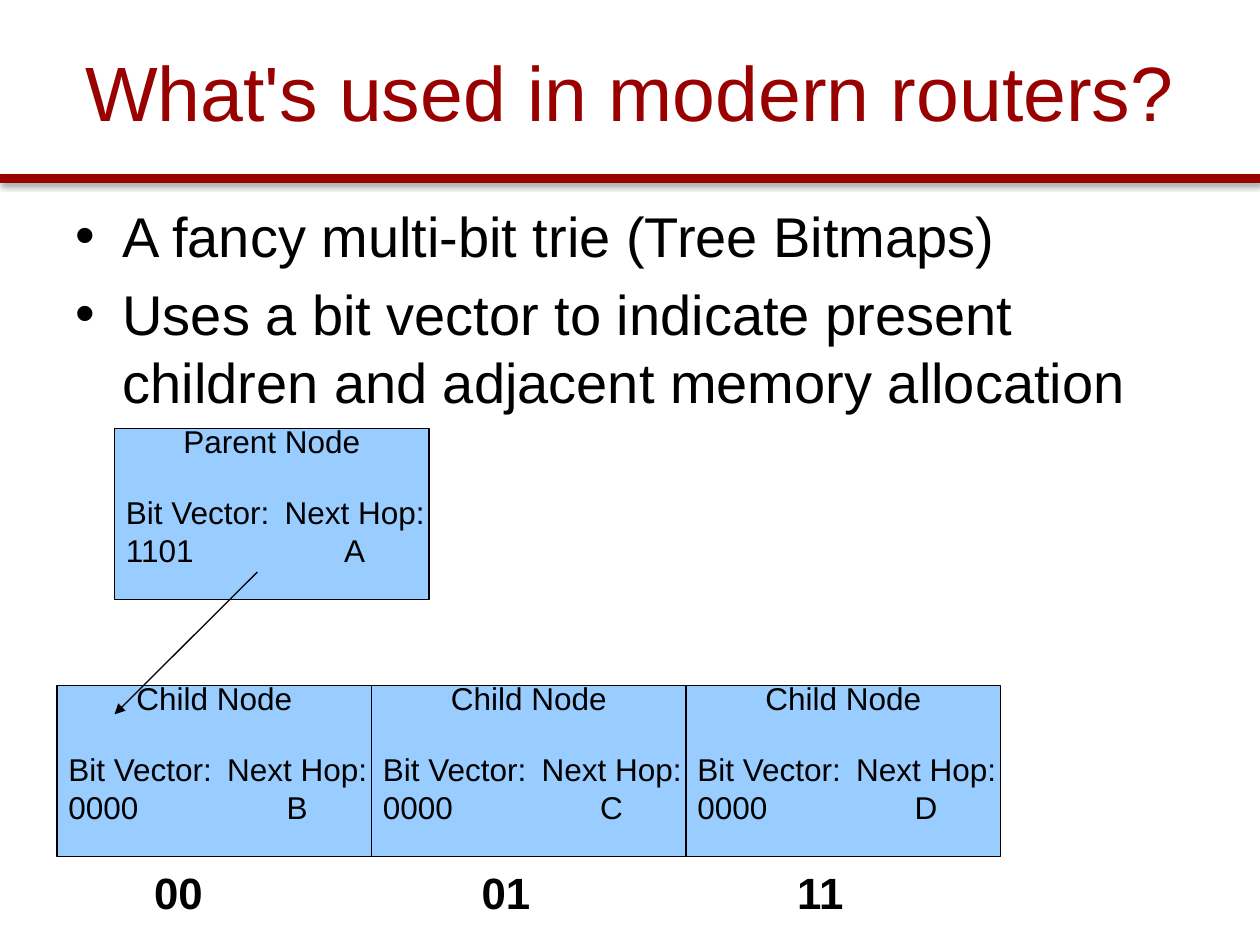
from lxml.etree import SubElement
from pptx import Presentation
from pptx.dml.color import RGBColor
from pptx.enum.shapes import MSO_CONNECTOR, MSO_SHAPE
from pptx.enum.text import MSO_ANCHOR, PP_ALIGN
from pptx.oxml import parse_xml
from pptx.oxml.ns import nsdecls, qn
from pptx.util import Cm, Pt

COLORS = {"accent": "990000", "node": "99CCFF", "ink": "000000"}
FONT = "Arial"
NODE_WIDTH, NODE_HEIGHT = 6.34, 3.45


def color(name):
    """Return the named colour."""
    return RGBColor.from_string(COLORS[name])


def write(shape, lines, size, ink="ink", align=PP_ALIGN.LEFT, bold=False, wrap=True):
    """Fill a shape with one formatted paragraph per line."""
    frame = shape.text_frame
    frame.text = "\n".join(lines)
    frame.word_wrap = wrap
    for paragraph in frame.paragraphs:
        paragraph.alignment = align
        for run in paragraph.runs:
            run.font.name, run.font.size, run.font.bold = FONT, Pt(size), bold
            run.font.color.rgb = color(ink)
    return frame


def add_text(slide, left, top, width, height, lines, size, insets=(0.23, 0.23), **style):
    """Add a text box with the given left and right insets."""
    box = slide.shapes.add_textbox(Cm(left), Cm(top), Cm(width), Cm(height))
    frame = write(box, lines, size, **style)
    frame.margin_left, frame.margin_right = (Cm(inset) for inset in insets)
    frame.margin_top, frame.margin_bottom = Cm(0.15), Cm(0.1)
    return frame


def add_line(slide, start, end, ink, width):
    """Add a straight line without a shadow."""
    points = [Cm(value) for value in (*start, *end)]
    line = slide.shapes.add_connector(MSO_CONNECTOR.STRAIGHT, *points)
    line.line.color.rgb = color(ink)
    line.line.width = Pt(width)
    SubElement(line._element.spPr, qn("a:effectLst"))
    return line


def add_header(slide, width):
    """Place the title and the shadowed rule below it."""
    rule = add_line(slide, (0, 3.6), (width, 3.6), "accent", 5)
    rule._element.spPr.find(qn("a:effectLst")).append(parse_xml(
        f'<a:outerShdw {nsdecls("a")} blurRad="39370" dist="20320" dir="5400000" rotWithShape="0">'
        f'<a:srgbClr val="{COLORS["ink"]}"><a:alpha val="38000"/></a:srgbClr></a:outerShdw>'))
    title = slide.shapes.title
    title.left, title.top, title.width, title.height = Cm(1.27), Cm(0.23), Cm(22.86), Cm(3.18)
    frame = write(title, ["What's used in modern routers?"], 44, "accent", PP_ALIGN.CENTER)
    frame.vertical_anchor = MSO_ANCHOR.MIDDLE


def add_bullets(slide, left, top, width, height, lines):
    """Place the bulleted statements."""
    frame = add_text(slide, left, top, width, height, lines, 32)
    for paragraph in frame.paragraphs:
        paragraph.space_before = Pt(6.4)
        properties = paragraph._p.get_or_add_pPr()
        properties.set("marL", str(Cm(0.95)))
        properties.set("indent", str(Cm(-0.95)))
        SubElement(properties, qn("a:buFont"), typeface=FONT)
        SubElement(properties, qn("a:buChar"), char="•")


def add_node(slide, left, top, name, bits, hop):
    """Draw a trie node with its bit vector and next hop."""
    node = slide.shapes.add_shape(
        MSO_SHAPE.RECTANGLE, Cm(left), Cm(top), Cm(NODE_WIDTH), Cm(NODE_HEIGHT))
    node.shadow.inherit = False
    node.fill.solid()
    node.fill.fore_color.rgb = color("node")
    node.line.color.rgb = color("ink")
    node.line.width = Pt(0.75)
    frame = write(node, [name], 18, align=PP_ALIGN.CENTER, wrap=False)
    frame.vertical_anchor = MSO_ANCHOR.TOP
    frame.margin_top = Cm(-0.14)
    add_text(slide, left, top + 1.15, 3.2, 1.52, ["Bit Vector:", bits], 18,
             insets=(0.23, 0), wrap=False)
    add_text(slide, left + NODE_WIDTH - 3, top + 1.15, 3, 1.52, ["Next Hop:", hop], 18,
             insets=(0, 0), align=PP_ALIGN.CENTER, wrap=False)


def add_trie(slide, left, top):
    """Draw the parent, its adjacent children, the pointer and the child indexes."""
    add_node(slide, left + 1.16, top, "Parent Node", "1101", "A")
    for index, hop in enumerate("BCD"):
        add_node(slide, left + index * NODE_WIDTH, top + 5.18, "Child Node", "0000", hop)
    pointer = add_line(slide, (left + 4.04, top + 2.89), (left + 1.16, top + 5.76), "ink", 0.75)
    SubElement(pointer.line._get_or_add_ln(), qn("a:tailEnd"), type="triangle")
    frame = add_text(slide, left + 1.73, top + 8.67, 16.71, 1.22, ["00\t01\t11"], 25, bold=True)
    tabs = SubElement(frame.paragraphs[0]._p.get_or_add_pPr(), qn("a:tabLst"))
    for position in (6.6, 12.96):
        SubElement(tabs, qn("a:tab"), pos=str(Cm(position)), algn="l")


def main():
    """Build and save the slide."""
    presentation = Presentation()
    presentation.slide_width, presentation.slide_height = Cm(25.4), Cm(19.05)
    slide = presentation.slides.add_slide(presentation.slide_layouts[5])
    add_header(slide, 25.4)
    add_bullets(slide, 1.29, 3.91, 22.86, 13.08, [
        "A fancy multi-bit trie (Tree Bitmaps)",
        "Uses a bit vector to indicate present children and adjacent memory allocation"])
    add_trie(slide, 1.15, 8.64)
    presentation.save("out.pptx")


if __name__ == "__main__":
    main()
